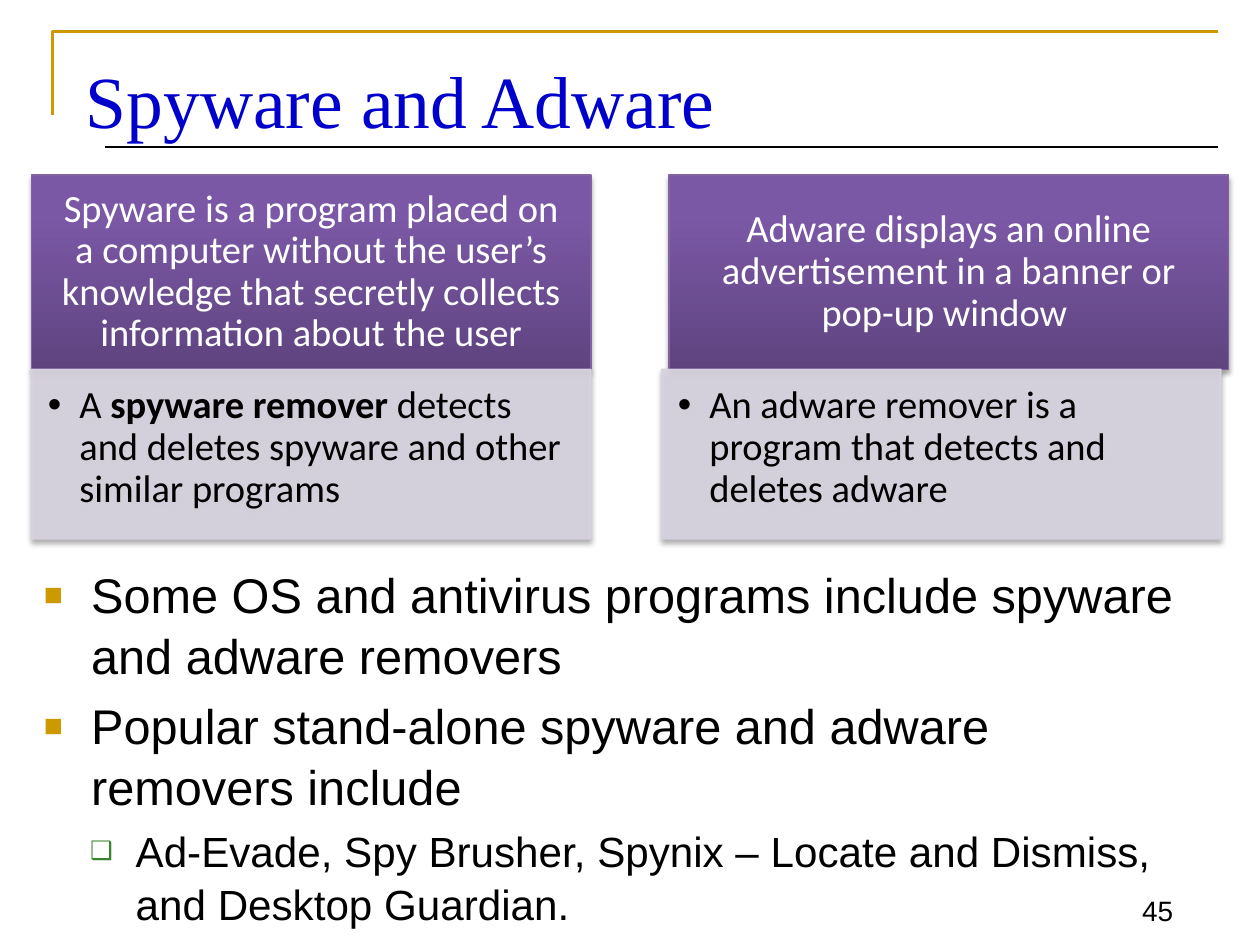
import pptx
import pptx.dml.color
import pptx.enum.dml
import pptx.enum.shapes
import pptx.enum.text
import pptx.oxml
import pptx.oxml.ns
import pptx.util

Pt = pptx.util.Pt
ALIGN = pptx.enum.text.PP_ALIGN
ANCHOR = pptx.enum.text.MSO_ANCHOR
NAMESPACE = pptx.oxml.ns.nsdecls("a")

TITLE = {"name": "Times New Roman", "size": 42, "color": "0000CC"}
BODY = {"name": "Arial", "size": 27.8, "color": "000000"}
SUB_BODY = {**BODY, "size": 24.1}
NUMBER = {**BODY, "size": 16}
CARD_HEAD = {"name": "Calibri", "size": 22, "color": "FFFFFF"}
CARD_NOTE = {**CARD_HEAD, "color": "000000"}

SQUARE = {"char": "■", "color": "CC9900", "percent": 65, "left": 27, "hang": 27}
HOLLOW = {"char": "❑", "color": "3B812F", "percent": 60, "left": 52.5, "hang": 26}
DOT = {"char": "•", "color": "000000", "percent": 100, "left": 18, "hang": 18}

HEAD_STOPS = [(0, "5F4480"), (80, "7B58A6"), (100, "7C57A8")]
CARD_WIDTH = 319.7
HEAD_TOP, HEAD_HEIGHT = 100, 111
NOTE_HEIGHT = 97
CARDS = [
    (18, 18,
     "Spyware is a program placed on a computer without the user’s knowledge "
     "that secretly collects information about the user",
     [("A ", False), ("spyware remover", True),
      (" detects and deletes spyware and other similar programs", False)]),
    (382.3, 378,
     "Adware displays an online advertisement in a banner or pop-up window ",
     [("An adware remover is a program that detects and deletes adware", False)]),
]
POINTS = [
    ("Some OS and antivirus programs include spyware and adware removers",
     BODY, SQUARE, 0),
    ("Popular stand-alone spyware and adware removers include",
     BODY, SQUARE, 5.6),
    ("Ad-Evade, Spy Brusher, Spynix – Locate and Dismiss, and Desktop Guardian.",
     SUB_BODY, HOLLOW, 4.8),
]


def rgb(value):
    return pptx.dml.color.RGBColor.from_string(value)


def parse_element(markup):
    return pptx.oxml.parse_xml(markup)


def set_font(font, style):
    values = {"name": style["name"], "size": Pt(style["size"]),
              "bold": style.get("bold", False)}
    for key, value in values.items():
        setattr(font, key, value)
    font.color.rgb = rgb(style["color"])


def set_frame(frame, anchor, margins=(7.2, 3.6, 7.2, 3.6)):
    frame.word_wrap = True
    frame.vertical_anchor = anchor
    for side, margin in zip(("left", "top", "right", "bottom"), margins):
        setattr(frame, f"margin_{side}", Pt(margin))
    return frame


def set_bullet(para, bullet):
    properties = para._p.get_or_add_pPr()
    properties.set("marL", str(Pt(bullet["left"])))
    properties.set("indent", str(-Pt(bullet["hang"])))
    for markup in (
        f'<a:buClr {NAMESPACE}><a:srgbClr val="{bullet["color"]}"/></a:buClr>',
        f'<a:buSzPct {NAMESPACE} val="{bullet["percent"] * 1000}"/>',
        f'<a:buFont {NAMESPACE} typeface="Arial"/>',
        f'<a:buChar {NAMESPACE} char="{bullet["char"]}"/>',
    ):
        properties.append(parse_element(markup))


def write(para, spans, style, bullet=None, **layout):
    if bullet:
        set_bullet(para, bullet)
    for key, value in layout.items():
        setattr(para, key, value)
    for text, bold in spans:
        span = para.add_run()
        span.text = text
        set_font(span.font, {**style, "bold": bold})


def add_text_box(slide, bounds, anchor):
    box = slide.shapes.add_textbox(*map(Pt, bounds))
    return set_frame(box.text_frame, anchor)


def add_card(slide, bounds, line_color):
    card = slide.shapes.add_shape(
        pptx.enum.shapes.MSO_SHAPE.RECTANGLE, *map(Pt, bounds))
    card.line.color.rgb = rgb(line_color)
    card.line.width = Pt(0.75)
    card.shadow.inherit = False
    effects = card._element.spPr.find(pptx.oxml.ns.qn("a:effectLst"))
    effects.append(parse_element(
        f'<a:outerShdw {NAMESPACE} blurRad="{Pt(3.1)}" dist="{Pt(1.8)}" '
        'dir="5400000" rotWithShape="0"><a:srgbClr val="000000">'
        '<a:alpha val="35000"/></a:srgbClr></a:outerShdw>'))
    return card


def add_head_card(slide, left, text):
    card = add_card(slide, (left, HEAD_TOP, CARD_WIDTH, HEAD_HEIGHT), "8064A2")
    card.fill.gradient()
    card.fill.gradient_angle = 90
    stops = card._element.spPr.find(".//" + pptx.oxml.ns.qn("a:gsLst"))
    for stop in list(stops):
        stops.remove(stop)
    for position, color in HEAD_STOPS:
        stops.append(parse_element(
            f'<a:gs {NAMESPACE} pos="{position * 1000}">'
            f'<a:srgbClr val="{color}"/></a:gs>'))
    frame = set_frame(card.text_frame, ANCHOR.MIDDLE, (12.5, 7.1, 12.5, 7.1))
    write(frame.paragraphs[0], [(text, False)], CARD_HEAD,
          alignment=ALIGN.CENTER, line_spacing=0.9)


def add_note_card(slide, left, spans):
    bounds = (left, HEAD_TOP + HEAD_HEIGHT, CARD_WIDTH, NOTE_HEIGHT)
    card = add_card(slide, bounds, "D8D3E0")
    card.fill.solid()
    card.fill.fore_color.rgb = rgb("D8D3E0")
    for color in card._element.spPr.findall(
            ".//" + pptx.oxml.ns.qn("a:solidFill") + "/"):
        color.append(parse_element(f'<a:alpha {NAMESPACE} val="90000"/>'))
    frame = set_frame(card.text_frame, ANCHOR.TOP, (9.4, 9.4, 12.5, 14))
    write(frame.paragraphs[0], spans, CARD_NOTE, DOT,
          alignment=ALIGN.LEFT, line_spacing=0.9)


def add_title_frame(slide):
    builder = slide.shapes.build_freeform(Pt(30), Pt(66))
    builder.add_line_segments(
        [(Pt(30), Pt(18)), (Pt(696), Pt(18))], close=False)
    corner = builder.convert_to_shape()
    corner.fill.background()
    corner.shadow.inherit = False
    rule = slide.shapes.add_connector(
        pptx.enum.shapes.MSO_CONNECTOR.STRAIGHT, Pt(60), Pt(84), Pt(696), Pt(84))
    rule._element.spPr.append(parse_element(f"<a:effectLst {NAMESPACE}/>"))
    for shape, color, width in ((corner, "CC9900", 1.5), (rule, "000000", 0.75)):
        shape.line.color.rgb = rgb(color)
        shape.line.width = Pt(width)


def add_points(slide):
    frame = add_text_box(slide, (18, 318, 678, 198), ANCHOR.TOP)
    for index, (text, style, bullet, gap) in enumerate(POINTS):
        para = frame.add_paragraph() if index else frame.paragraphs[0]
        write(para, [(text, False)], style, bullet,
              line_spacing=1.04, space_before=Pt(gap))


def main():
    deck = pptx.Presentation()
    deck.slide_width, deck.slide_height = Pt(720), Pt(540)
    slide = deck.slides.add_slide(deck.slide_layouts[6])
    add_title_frame(slide)
    title = add_text_box(slide, (42, 24, 654, 65.5), ANCHOR.MIDDLE)
    write(title.paragraphs[0], [("Spyware and Adware", False)], TITLE)
    add_points(slide)
    number = add_text_box(slide, (630, 498, 47.5, 35.5), ANCHOR.BOTTOM)
    write(number.paragraphs[0], [("45", False)], NUMBER, alignment=ALIGN.RIGHT)
    for head_left, note_left, head, note in CARDS:
        add_head_card(slide, head_left, head)
        add_note_card(slide, note_left, note)
    deck.save("out.pptx")


if __name__ == "__main__":
    main()
